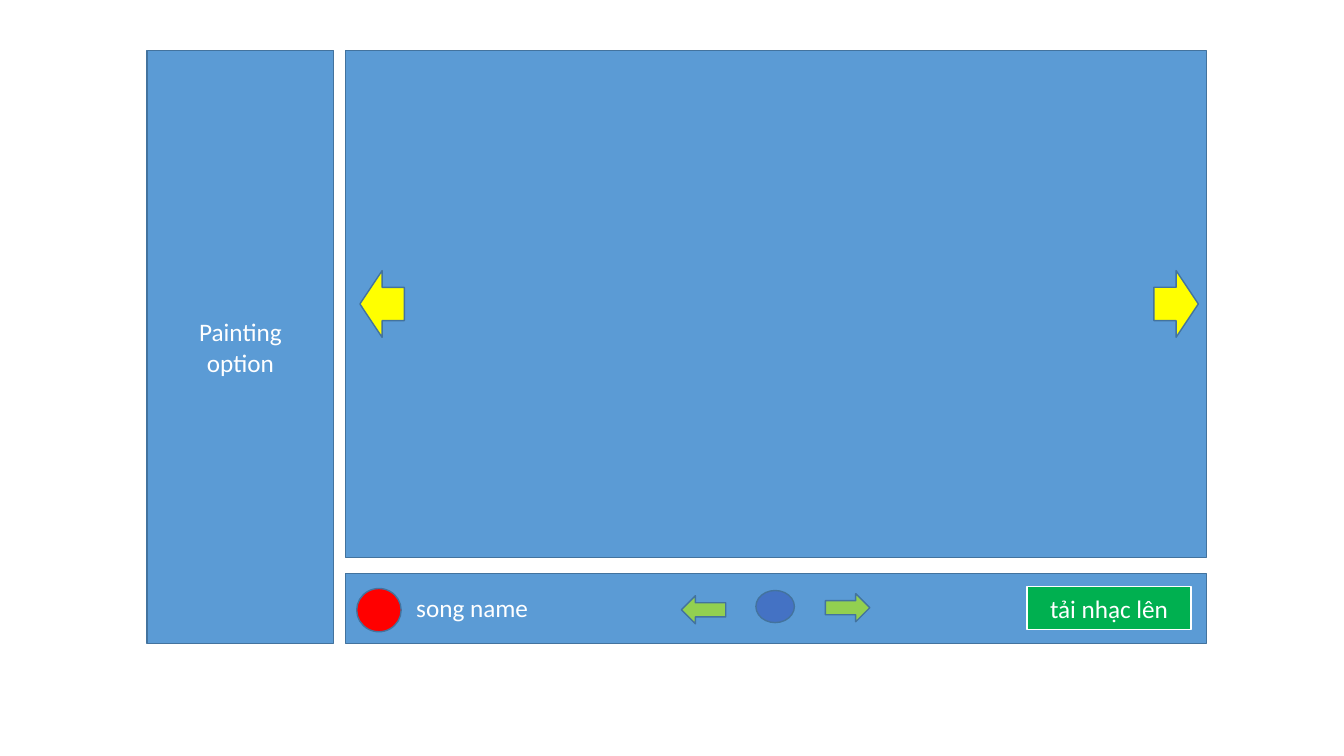
from dataclasses import dataclass

from pptx import Presentation
from pptx.dml.color import RGBColor
from pptx.enum.shapes import MSO_SHAPE as Preset
from pptx.enum.text import MSO_ANCHOR as Anchor, PP_ALIGN as Align
from pptx.util import Cm, Pt


@dataclass(frozen=True)
class Theme:
    """Colours and type sizes of the slide."""
    panel: str = "5B9BD5"
    outline: str = "43739E"
    text: str = "FFFFFF"
    page_arrow: str = "FFFF00"
    track_arrow: str = "92D050"
    record: str = "FF0000"
    play: str = "4472C4"
    upload: str = "00B050"
    font: str = "Calibri"
    size: int = 18
    line: float = 1


@dataclass(frozen=True)
class Box:
    """A rectangle in centimetres."""
    left: float
    top: float
    width: float
    height: float

    def inner(self, left, top, width, height):
        """Return a box placed relative to this one."""
        return Box(self.left + left, self.top + top, width, height)


THEME = Theme()


def draw(slide, preset, box, fill, outline=THEME.outline, turn=0):
    """Add a filled preset shape; outline None leaves the edge off."""
    part = slide.shapes.add_shape(
        preset, Cm(box.left), Cm(box.top), Cm(box.width), Cm(box.height))
    part.shadow.inherit = False
    part.rotation = turn
    part.fill.solid()
    part.fill.fore_color.rgb = RGBColor.from_string(fill)
    if outline is None:
        part.line.fill.background()
    else:
        part.line.color.rgb = RGBColor.from_string(outline)
        part.line.width = Pt(THEME.line)
    return part


def label(part, words, inset=0.25):
    """Write centred words in a shape, with the given side insets."""
    frame = part.text_frame
    frame.word_wrap = True
    frame.vertical_anchor = Anchor.MIDDLE
    frame.margin_left = frame.margin_right = Cm(inset)
    paragraph = frame.paragraphs[0]
    paragraph.text = words
    paragraph.alignment = Align.CENTER
    paragraph.font.name = THEME.font
    paragraph.font.size = Pt(THEME.size)
    paragraph.font.color.rgb = RGBColor.from_string(THEME.text)


def draw_options(slide, box):
    """Draw the sidebar; wide insets put each word on its own line."""
    label(draw(slide, Preset.RECTANGLE, box, THEME.panel), "Painting option", 0.8)


def draw_canvas(slide, box):
    """Draw the painting area with its two page arrows."""
    draw(slide, Preset.RECTANGLE, box, THEME.panel)
    width, height = 1.12, 1.68
    top = 5.55
    for left, turn in ((0.36, 180), (box.width - width - 0.2, 0)):
        draw(slide, Preset.RIGHT_ARROW, box.inner(left, top, width, height),
             THEME.page_arrow, turn=turn)


def draw_player(slide, box):
    """Draw the music bar: record, song, track controls and upload."""
    draw(slide, Preset.RECTANGLE, box, THEME.panel)
    draw(slide, Preset.OVAL, box.inner(0.28, 0.38, 1.12, 1.09), THEME.record)
    song = draw(slide, Preset.RECTANGLE, box.inner(1.45, 0.46, 3.48, 0.81),
                THEME.panel, outline=None)
    label(song, "song name")
    draw(slide, Preset.OVAL, box.inner(10.34, 0.43, 0.97, 0.81), THEME.play)
    for left, top, turn in ((8.46, 0.56, 180), (12.09, 0.51, 0)):
        draw(slide, Preset.RIGHT_ARROW, box.inner(left, top, 1.12, 0.71),
             THEME.track_arrow, turn=turn)
    upload = draw(slide, Preset.RECTANGLE, box.inner(17.17, 0.33, 4.14, 1.09),
                  THEME.upload, outline=THEME.text)
    label(upload, "tải nhạc lên")


def main():
    """Build the slide and save it."""
    deck = Presentation()
    deck.slide_width, deck.slide_height = Cm(33.87), Cm(19.05)
    slide = deck.slides.add_slide(deck.slide_layouts[6])
    top, main_left, main_width = 1.27, 8.71, 21.69
    draw_canvas(slide, Box(main_left, top, main_width, 12.78))
    draw_options(slide, Box(3.71, top, 4.7, 14.94))
    draw_player(slide, Box(main_left, 14.45, main_width, 1.76))
    deck.save("out.pptx")


main()
